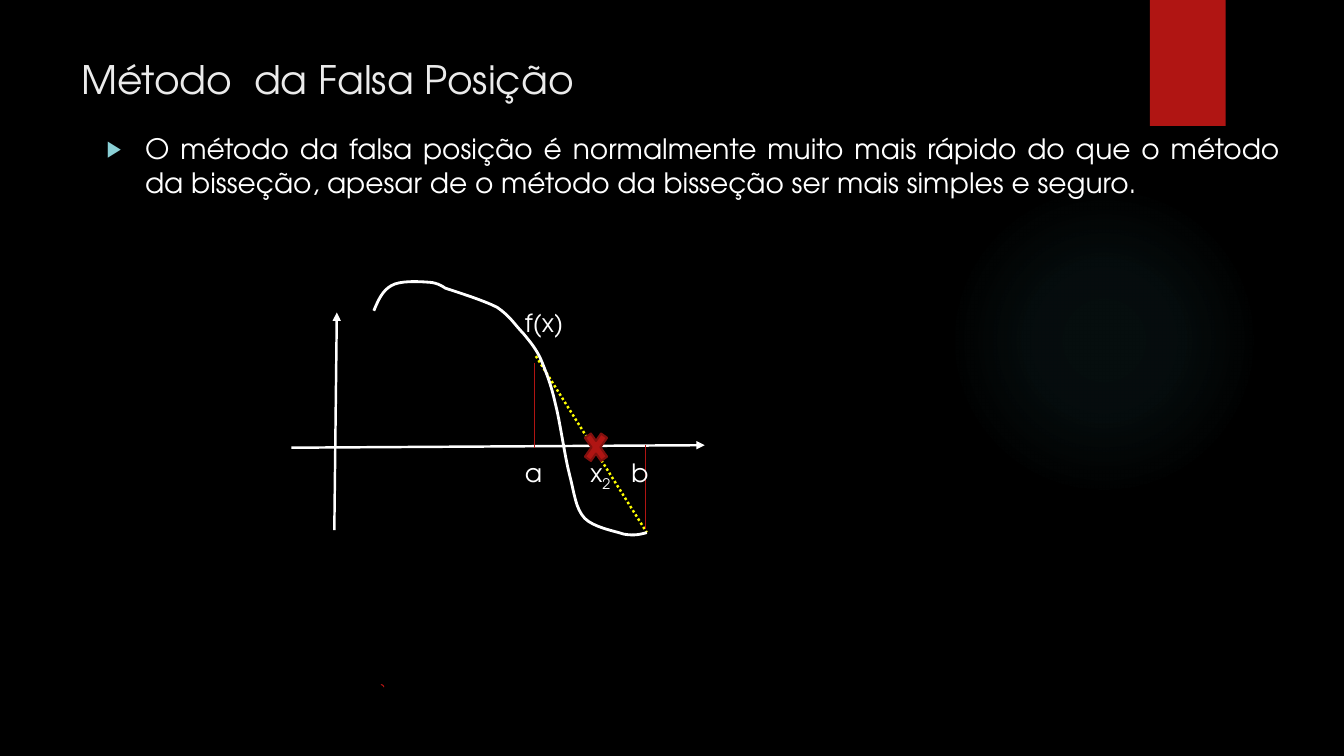
from itertools import pairwise

from lxml.etree import SubElement
from pptx import Presentation
from pptx.dml.color import RGBColor
from pptx.enum.dml import MSO_LINE
from pptx.enum.shapes import MSO_CONNECTOR, MSO_SHAPE
from pptx.enum.text import MSO_ANCHOR, MSO_AUTO_SIZE, PP_ALIGN
from pptx.oxml import parse_xml
from pptx.oxml.ns import nsdecls, qn
from pptx.util import Inches, Pt

COLORS = {
    "background": "000000",
    "glow": "50B9C1",
    "red": "B01513",
    "dark_red": "82100E",
    "yellow": "FFFF00",
    "white": "FFFFFF",
    "title": "EBEBEB",
    "bullet": "8AD0D6",
}
COLUMNS, ROWS = 160, 90
CURVE_STEPS = 8
CURVE = [
    [(44.5, 37), (45, 35.8), (45.5, 34.6)],
    [(46.6, 34), (47.6, 33.4), (49.8, 33.5)],
    [(51, 33.6), (52.1, 33.6), (53, 34.3)],
    [(53, 34.3), (54.5, 34.8), (57.7, 35.8)],
    [(59.2, 36.6), (60.7, 37.6), (61.4, 38.8)],
    [(62.3, 39.7), (63.2, 40.8), (63.8, 41.5)],
    [(64.4, 42.8), (65, 44.3), (65.6, 45.7)],
    [(66.1, 48), (66.7, 50.3), (67.2, 54.2)],
    [(67.8, 56.5), (68.4, 58.8), (68.5, 60.5)],
    [(69.6, 61.7), (70.7, 62.8), (73.1, 63.2)],
    [(74.3, 63.6), (75.6, 63.8), (76.3, 63.6)],
    [(77, 63.4)],
]


def color(name):
    return RGBColor.from_string(COLORS[name])


def bezier(points, t):
    while len(points) > 1:
        points = [
            tuple(p + (q - p) * t for p, q in zip(first, second))
            for first, second in pairwise(points)
        ]
    return points[0]


class SlideBuilder:
    font = "TeX Gyre Adventor"

    def __init__(self, presentation):
        self.cell_width = presentation.slide_width / COLUMNS
        self.cell_height = presentation.slide_height / ROWS
        self.slide = presentation.slides.add_slide(presentation.slide_layouts[1])
        self.slide.background.fill.solid()
        self.slide.background.fill.fore_color.rgb = color("background")

    def grid(self, *lengths):
        return [
            round(length * (self.cell_height if index % 2 else self.cell_width))
            for index, length in enumerate(lengths)
        ]

    def outline(self, shape, name, width):
        shape.line.color.rgb = color(name)
        shape.line.width = Pt(width)

    def shape(self, kind, box, fill=None, line=None, width=1):
        shape = self.slide.shapes.add_shape(kind, *self.grid(*box))
        shape.shadow.inherit = False
        if fill:
            shape.fill.solid()
            shape.fill.fore_color.rgb = color(fill)
        else:
            shape.fill.background()
        if line:
            self.outline(shape, line, width)
        else:
            shape.line.fill.background()
        return shape

    def glow(self, box):
        shape = self.shape(MSO_SHAPE.OVAL, box)
        stops = "".join(
            f'<a:gs pos="{position}000"><a:srgbClr val="{COLORS["glow"]}">'
            f'<a:alpha val="{opacity}000"/></a:srgbClr></a:gs>'
            for position, opacity in ((0, 7), (36, 6), (69, 0), (100, 0))
        )
        gradient = parse_xml(
            f'<a:gradFill {nsdecls("a")} rotWithShape="1"><a:gsLst>{stops}</a:gsLst>'
            '<a:path path="circle"><a:fillToRect l="50000" t="50000" r="50000" b="50000"/>'
            "</a:path></a:gradFill>"
        )
        properties = shape.element.spPr
        properties.replace(properties.find(qn("a:noFill")), gradient)

    def line(self, start, end, name, width, dash=None, arrow=False):
        connector = self.slide.shapes.add_connector(
            MSO_CONNECTOR.STRAIGHT, *self.grid(*start, *end)
        )
        self.outline(connector, name, width)
        if dash:
            connector.line.dash_style = dash
        properties = connector.element.spPr
        if arrow:
            SubElement(properties.find(qn("a:ln")), qn("a:tailEnd"), type="triangle")
        SubElement(properties, qn("a:effectLst"))

    def curve(self, segments, name, width):
        points = [
            self.grid(*bezier([*segment, following[0]], step / CURVE_STEPS))
            for segment, following in pairwise(segments)
            for step in range(CURVE_STEPS)
        ]
        points.append(self.grid(*segments[-1][0]))
        builder = self.slide.shapes.build_freeform(*points[0])
        builder.add_line_segments(points[1:], close=False)
        shape = builder.convert_to_shape()
        shape.shadow.inherit = False
        shape.fill.background()
        self.outline(shape, name, width)

    def run(self, paragraph, text, size, name="white"):
        run = paragraph.add_run()
        run.text = text
        run.font.name = self.font
        run.font.size = Pt(size)
        run.font.color.rgb = color(name)
        return run

    def label(self, left, top, text, subscript=None):
        box = self.slide.shapes.add_textbox(*self.grid(left, top, 7.1, 4.8))
        box.text_frame.word_wrap = False
        paragraph = box.text_frame.paragraphs[0]
        self.run(paragraph, text, 18)
        if subscript:
            run = self.run(paragraph, subscript, 18)
            run.font._element.set("baseline", "-25000")

    def placeholder(self, placeholder, box):
        placeholder.left, placeholder.top, placeholder.width, placeholder.height = self.grid(*box)
        frame = placeholder.text_frame
        frame.word_wrap = True
        frame.auto_size = MSO_AUTO_SIZE.NONE
        frame.vertical_anchor = MSO_ANCHOR.TOP
        return frame.paragraphs[0]

    def title(self, text, box):
        paragraph = self.placeholder(self.slide.shapes.title, box)
        paragraph.alignment = PP_ALIGN.LEFT
        self.run(paragraph, text, 28, "title")

    def bullet(self, text, box):
        paragraph = self.placeholder(self.slide.placeholders[1], box)
        paragraph.alignment = PP_ALIGN.JUSTIFY
        paragraph.space_before = Pt(10)
        properties = paragraph._p.get_or_add_pPr()
        properties.set("marL", str(Inches(0.38)))
        properties.set("indent", str(Inches(-0.38)))
        bullet_color = SubElement(properties, qn("a:buClr"))
        SubElement(bullet_color, qn("a:srgbClr"), val=COLORS["bullet"])
        SubElement(properties, qn("a:buSzPct"), val="80000")
        SubElement(properties, qn("a:buChar"), char="▶")
        self.run(paragraph, text, 20)


def main():
    presentation = Presentation()
    presentation.slide_width = Inches(13.33)
    presentation.slide_height = Inches(7.5)
    slide = SlideBuilder(presentation)

    slide.glow((112.9, 22, 37, 37))
    slide.shape(MSO_SHAPE.RECTANGLE, (136.9, 0, 9, 15), fill="red")
    slide.title("Método  da Falsa Posição", (8.5, 6, 123.5, 18.4))
    slide.bullet(
        "O método da falsa posição é normalmente muito mais rápido do que o método "
        "da bisseção, apesar de o método da bisseção ser mais simples e seguro.",
        (11.5, 15.1, 142.1, 27.4),
    )

    slide.shape(MSO_SHAPE.ARC, (45, 81.5, 0.7, 0.6), line="red", width=0.75)
    slide.line((63.8, 42.4), (77, 63.4), "yellow", 1.75, dash=MSO_LINE.ROUND_DOT)
    slide.line((39.8, 63.1), (40.1, 37.2), "white", 1.75, arrow=True)
    slide.line((34.7, 53.3), (83.9, 53), "white", 1.75, arrow=True)
    slide.shape(MSO_SHAPE.MATH_MULTIPLY, (69.1, 50.6, 3.7, 5.3), "red", "dark_red", 1.5)
    for column, top, bottom in ((63.6, 43.2, 53.3), (76.9, 53, 63)):
        slide.line((column, top), (column, bottom), "red", 0.75)

    slide.label(61.3, 53.9, "a")
    slide.label(69.1, 53.9, "x", "2")
    slide.label(74, 53.9, "b")
    slide.label(61.3, 36, "f(x)")
    slide.curve(CURVE, "white", 2)

    presentation.save("out.pptx")


if __name__ == "__main__":
    main()
